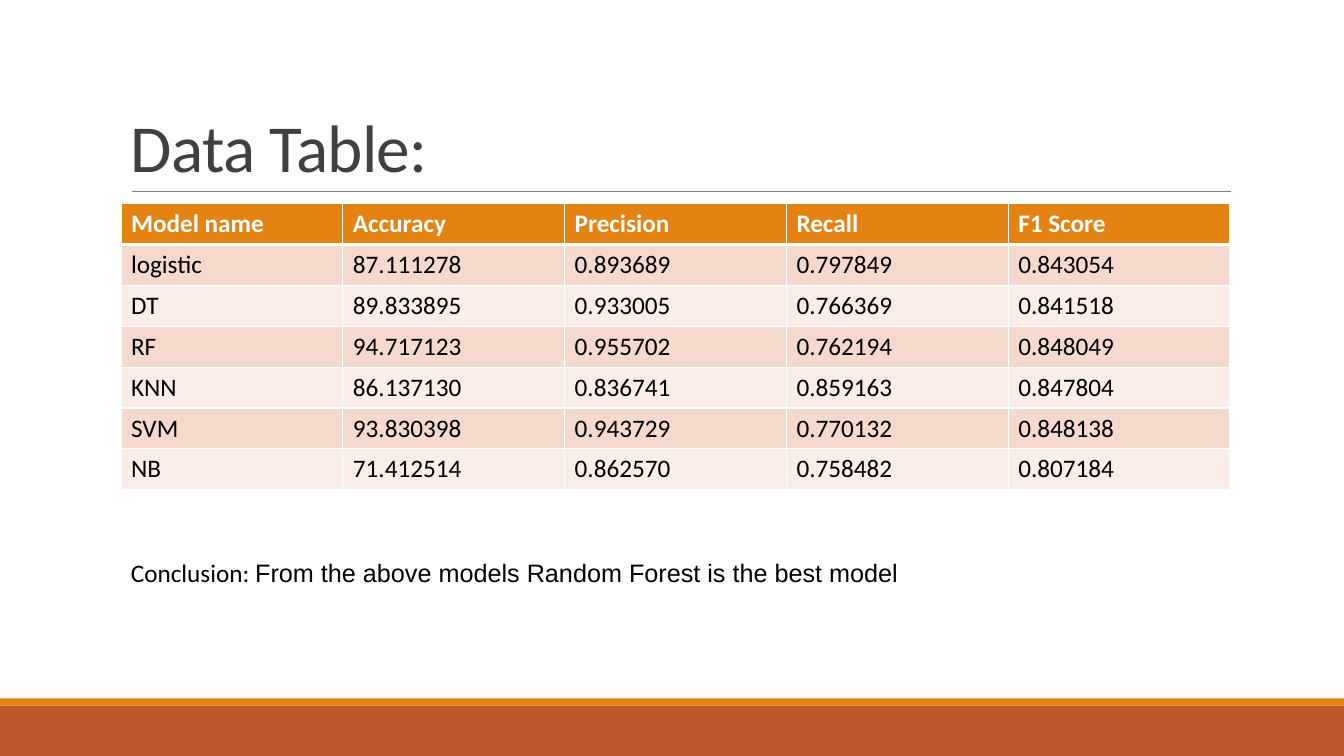
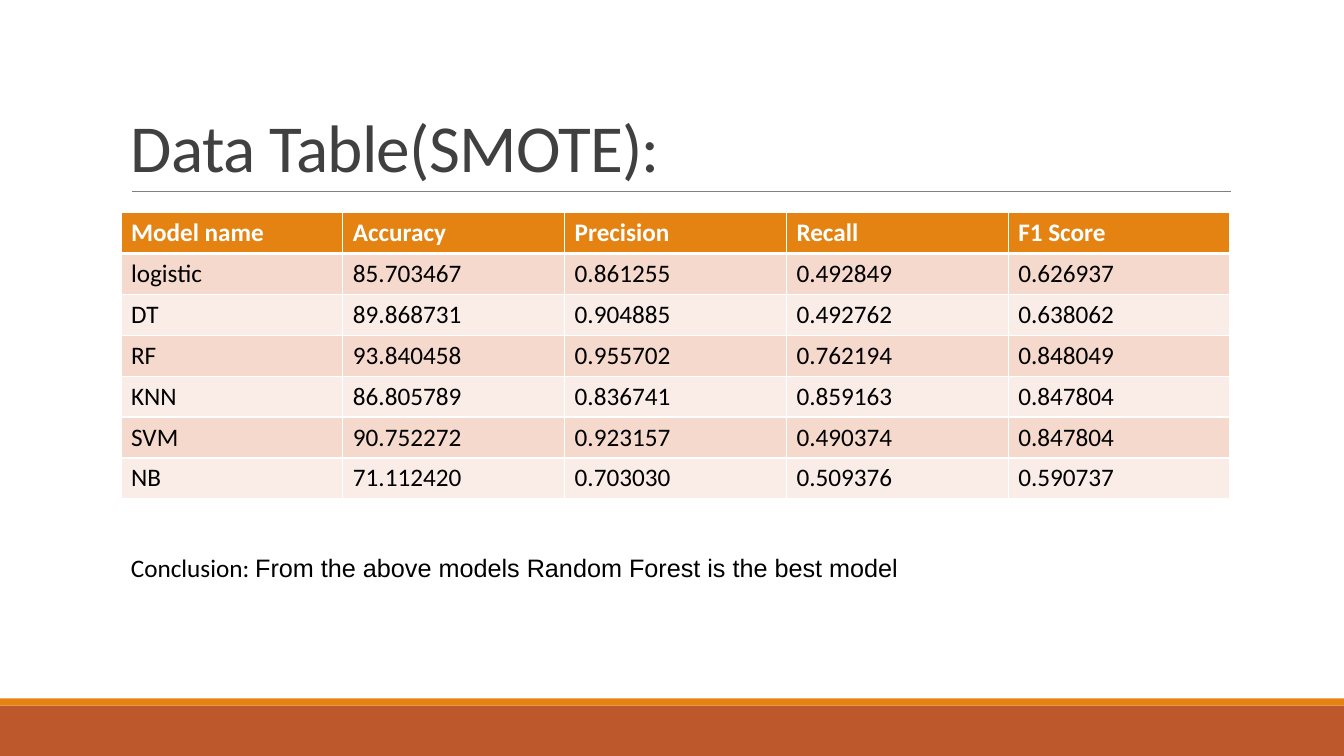
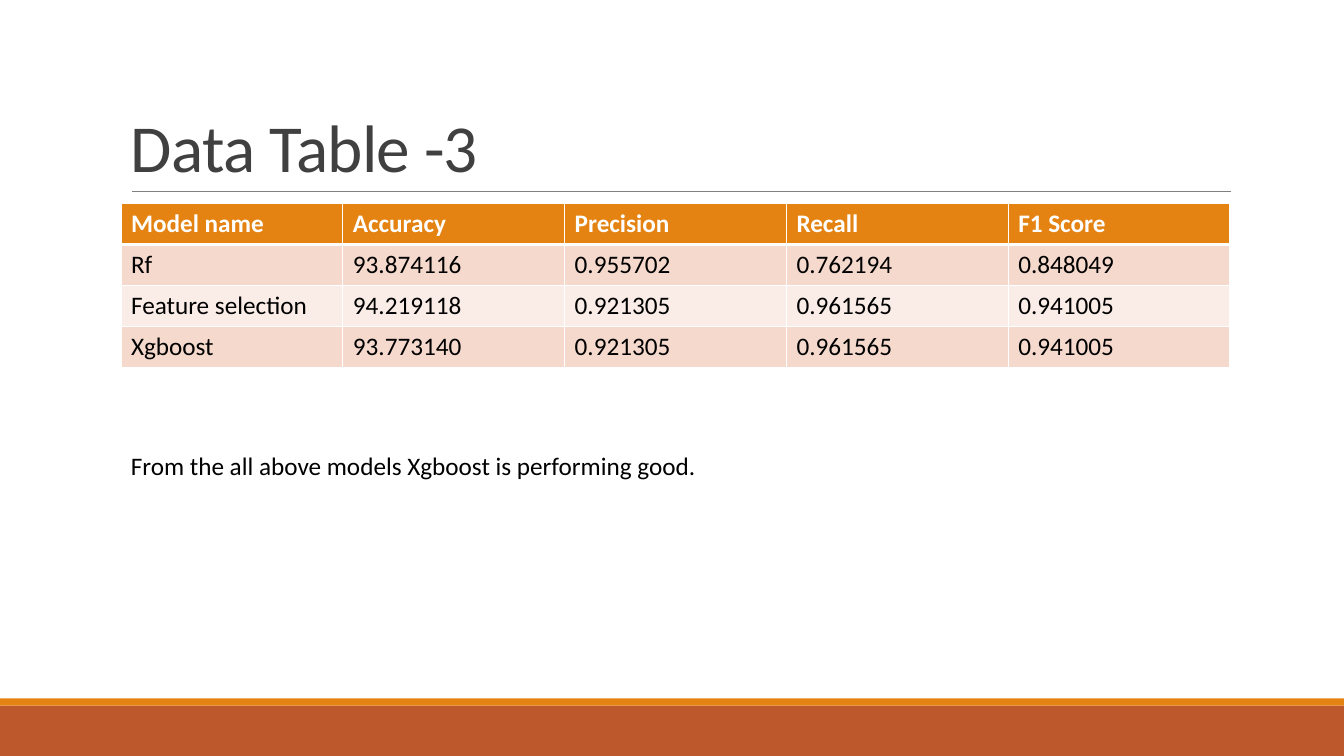
from lxml import etree
from pptx import Presentation
from pptx.dml.color import RGBColor
from pptx.enum.shapes import MSO_CONNECTOR, MSO_SHAPE
from pptx.enum.text import MSO_ANCHOR
from pptx.oxml.ns import qn
from pptx.util import Inches, Pt

RECTANGLE = MSO_SHAPE.RECTANGLE
STRAIGHT = MSO_CONNECTOR.STRAIGHT
BOTTOM = MSO_ANCHOR.BOTTOM

COLORS = {
    "footer": "BD582C",
    "accent": "E48312",
    "rule": "808080",
    "title": "404040",
    "text": "000000",
    "white": "FFFFFF",
    "odd_row": "F5D9CC",
    "even_row": "FAEDE7",
}
BODY_FONT = "Calibri"
ALTERNATE_FONT = "Arial"

SLIDE_WIDTH = 13.33
CONTENT_LEFT = 1.2
CONTENT_WIDTH = 11
ROW_HEIGHT = 2.84 / 7

HEADER = ["Model name", "Accuracy", "Precision", "Recall", "F1 Score"]
BEST_MODEL = [
    ("Conclusion: ", BODY_FONT),
    ("From the above models Random Forest is the best model", ALTERNATE_FONT),
]

SLIDES = [
    {
        "title": "Data Table:",
        "table_top": 2.02,
        "rows": [
            ["logistic", "87.111278", "0.893689", "0.797849", "0.843054"],
            ["DT", "89.833895", "0.933005", "0.766369", "0.841518"],
            ["RF", "94.717123", "0.955702", "0.762194", "0.848049"],
            ["KNN", "86.137130", "0.836741", "0.859163", "0.847804"],
            ["SVM", "93.830398", "0.943729", "0.770132", "0.848138"],
            ["NB", "71.412514", "0.862570", "0.758482", "0.807184"],
        ],
        "conclusion_top": 5.48,
        "conclusion": BEST_MODEL,
    },
    {
        "title": "Data Table(SMOTE):",
        "table_top": 2.11,
        "rows": [
            ["logistic", "85.703467", "0.861255", "0.492849", "0.626937"],
            ["DT", "89.868731", "0.904885", "0.492762", "0.638062"],
            ["RF", "93.840458", "0.955702", "0.762194", "0.848049"],
            ["KNN", "86.805789", "0.836741", "0.859163", "0.847804"],
            ["SVM", "90.752272", "0.923157", "0.490374", "0.847804"],
            ["NB", "71.112420", "0.703030", "0.509376", "0.590737"],
        ],
        "conclusion_top": 5.43,
        "conclusion": BEST_MODEL,
    },
    {
        "title": "Data Table -3",
        "table_top": 2.02,
        "rows": [
            ["Rf", "93.874116", "0.955702", "0.762194", "0.848049"],
            ["Feature selection", "94.219118", "0.921305", "0.961565", "0.941005"],
            ["Xgboost", "93.773140", "0.921305", "0.961565", "0.941005"],
        ],
        "conclusion_top": 4.42,
        "conclusion": [
            ("From the all above models Xgboost is performing good.", BODY_FONT),
        ],
    },
]


def color(name):
    return RGBColor.from_string(COLORS[name])


def add_run(paragraph, text, size=18, color_name="text", font=BODY_FONT, bold=False):
    run = paragraph.add_run()
    run.text = text
    run.font.size = Pt(size)
    run.font.name = font
    run.font.bold = bold
    run.font.color.rgb = color(color_name)
    return run


def add_band(slide, top, height, color_name):
    band = slide.shapes.add_shape(
        RECTANGLE, 0, Inches(top), Inches(SLIDE_WIDTH), Inches(height))
    band.shadow.inherit = False
    band.fill.solid()
    band.fill.fore_color.rgb = color(color_name)
    band.line.fill.background()


def add_title_rule(slide):
    rule = slide.shapes.add_connector(
        STRAIGHT, Inches(1.31), Inches(1.9), Inches(12.21), Inches(1.9))
    rule.line.color.rgb = color("rule")
    rule.line.width = Pt(0.5)
    etree.SubElement(rule._element.spPr, qn("a:effectLst"))


def add_text_frame(slide, top, height):
    box = slide.shapes.add_textbox(
        Inches(CONTENT_LEFT), Inches(top), Inches(CONTENT_WIDTH), Inches(height))
    box.text_frame.word_wrap = True
    return box.text_frame


def add_title(slide, text):
    frame = add_text_frame(slide, 0.31, 1.59)
    frame.vertical_anchor = BOTTOM
    paragraph = frame.paragraphs[0]
    paragraph.line_spacing = 0.85
    run = add_run(paragraph, text, 48, "title")
    run._r.get_or_add_rPr().set("spc", "-50")


def add_conclusion(slide, top, runs):
    paragraph = add_text_frame(slide, top, 0.4).paragraphs[0]
    for text, font in runs:
        add_run(paragraph, text, font=font)


def set_borders(cell, top, bottom):
    """Draw white cell borders; top and bottom are widths in points."""
    properties = cell._tc.get_or_add_tcPr()
    for side, width in (("L", 1), ("R", 1), ("T", top), ("B", bottom)):
        line = etree.SubElement(properties, qn(f"a:ln{side}"), w=str(Pt(width)))
        fill = etree.SubElement(line, qn("a:solidFill"))
        etree.SubElement(fill, qn("a:srgbClr"), val=COLORS["white"])


def add_score_table(slide, top, rows):
    lines = [HEADER] + rows
    table = slide.shapes.add_table(
        len(lines), len(HEADER), Inches(CONTENT_LEFT), Inches(top),
        Inches(CONTENT_WIDTH), Inches(ROW_HEIGHT * len(lines))).table
    for row, values in enumerate(lines):
        is_header = row == 0
        fill_name = "accent" if is_header else "odd_row" if row % 2 else "even_row"
        for column, value in enumerate(values):
            cell = table.cell(row, column)
            set_borders(cell, 3 if row == 1 else 1, 3 if is_header else 1)
            cell.fill.solid()
            cell.fill.fore_color.rgb = color(fill_name)
            add_run(cell.text_frame.paragraphs[0], value,
                    color_name="white" if is_header else "text", bold=is_header)


def add_base_slide(presentation, title):
    """Add a blank slide with the shared bands, rule and title."""
    slide = presentation.slides.add_slide(presentation.slide_layouts[6])
    add_band(slide, 7, 0.5, "footer")
    add_band(slide, 6.93, 0.07, "accent")
    add_title_rule(slide)
    add_title(slide, title)
    return slide


def main():
    presentation = Presentation()
    presentation.slide_width = Inches(SLIDE_WIDTH)
    presentation.slide_height = Inches(7.5)
    for content in SLIDES:
        slide = add_base_slide(presentation, content["title"])
        add_score_table(slide, content["table_top"], content["rows"])
        add_conclusion(slide, content["conclusion_top"], content["conclusion"])
    presentation.save("out.pptx")


if __name__ == "__main__":
    main()
